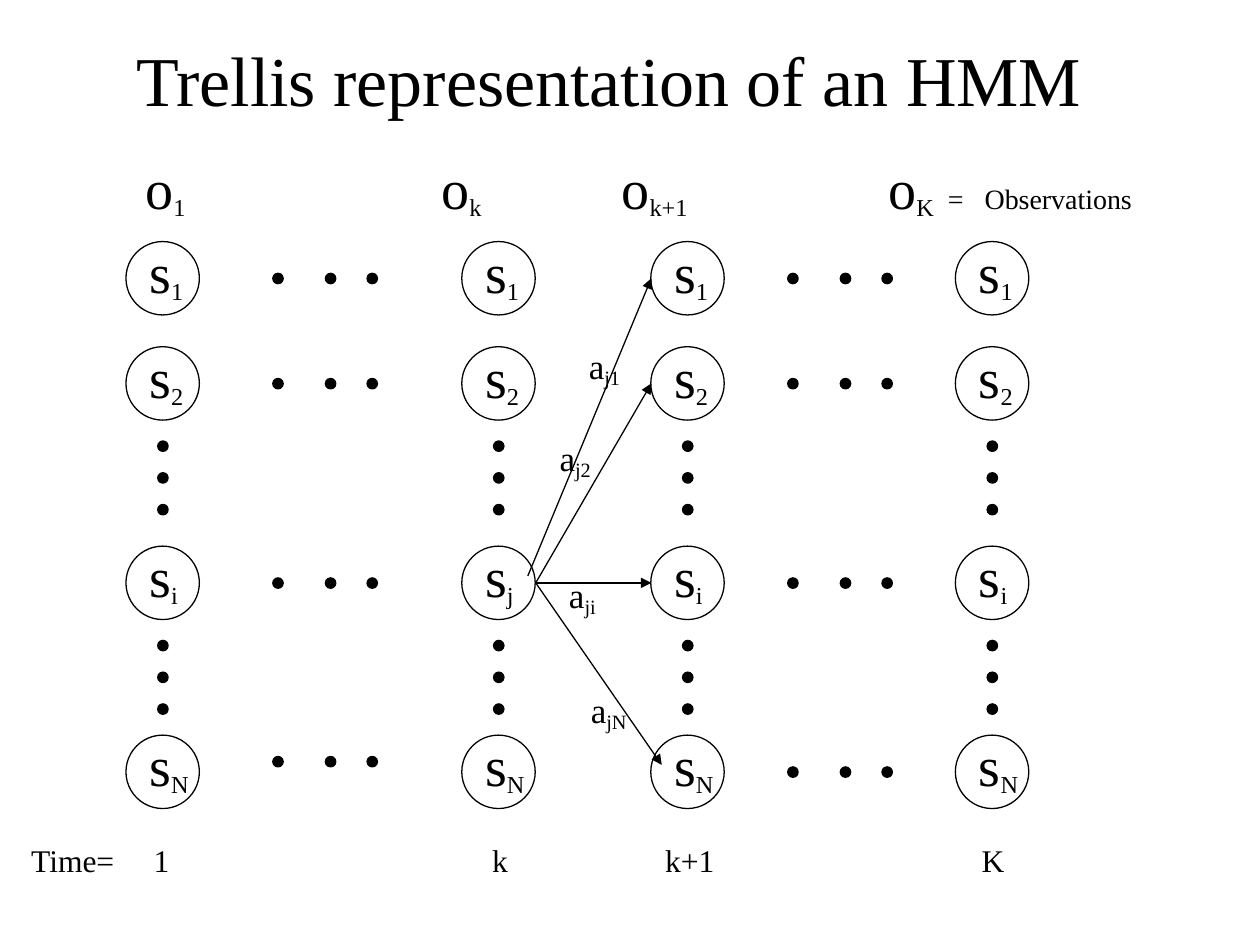
from pptx import Presentation
from pptx.dml.color import RGBColor
from pptx.enum.shapes import MSO_CONNECTOR, MSO_SHAPE
from pptx.enum.text import MSO_ANCHOR, MSO_AUTO_SIZE, PP_ALIGN
from pptx.oxml.ns import qn
from pptx.util import Cm, Pt
from lxml.etree import SubElement

COLORS = {"ink": "000000"}
INK = RGBColor.from_string(COLORS["ink"])
FONT = "Times New Roman"

deck = Presentation()
deck.slide_width, deck.slide_height = Cm(25.4), Cm(19.05)
slide = deck.slides.add_slide(deck.slide_layouts[6])
shapes = slide.shapes


def write(left, top, width, height, parts, tabs=(), wrap=False):
    """Add one line of text; parts are (text, size, is subscript)."""
    box = shapes.add_textbox(Cm(left), Cm(top), Cm(width), Cm(height))
    frame = box.text_frame
    frame.word_wrap = wrap
    frame.auto_size = MSO_AUTO_SIZE.SHAPE_TO_FIT_TEXT
    line = frame.paragraphs[0]
    if tabs:
        stops = SubElement(line._p.get_or_add_pPr(), qn("a:tabLst"))
        for stop in tabs:
            SubElement(stops, qn("a:tab"), pos=str(Cm(stop)), algn="l")
    for text, size, sub in parts:
        run = line.add_run()
        run.text = text
        run.font.name, run.font.size = FONT, Pt(size)
        run.font.color.rgb = INK
        if sub:
            run._r.get_or_add_rPr().set("baseline", "-16000")
    return frame


def circle(left, top, size, solid):
    disc = shapes.add_shape(MSO_SHAPE.OVAL, Cm(left), Cm(top), Cm(size), Cm(size))
    disc.shadow.inherit = False
    disc.line.color.rgb = INK
    disc.line.width = Pt(0.75)
    if solid:
        disc.fill.solid()
        disc.fill.fore_color.rgb = INK
    else:
        disc.fill.background()


# Trellis grid
STATE, DOT, INSET = 1.48, 0.21, 0.64
cols = [2.54, 9.31, 13.12, 19.26]
rows = [4.87, 6.99, 11.01, 14.82]
widths = {"1": 1.22, "2": 1.22, "i": 1.15, "j": 1.15, "N": 1.36}

# States and the dots between rows
for col, names in zip(cols, ["12iN", "12jN", "12iN", "12iN"]):
    for row, name in zip(rows, names):
        circle(col, row, STATE, False)
        write(col + 0.22, row - 0.21, widths[name], 1.63,
              [("s", 32, False), (name, 24, True)])
    for start in (8.89, 12.91):
        for step in range(3):
            circle(col + INSET, start + step * INSET, DOT, True)

# Dots between columns; the last row on the left sits a little higher
for start, lift in ((5.5, 0.21), (15.88, 0)):
    for row in rows:
        top = row + INSET - (lift if row == rows[-1] else 0)
        for gap in (0, 1.06, 1.9):
            circle(start + gap, top, DOT, True)

# Transitions out of state j
moves = [
    (10.64, 11.61, 13.13, 5.61),
    (10.8, 11.75, 13.13, 7.73),
    (10.8, 11.75, 13.13, 11.75),
    (10.8, 11.75, 13.34, 15.42),
]
for move in moves:
    arrow = shapes.add_connector(MSO_CONNECTOR.STRAIGHT, *[Cm(n) for n in move])
    arrow.line.color.rgb = INK
    arrow.line.width = Pt(0.75)
    SubElement(arrow.line._get_or_add_ln(), qn("a:tailEnd"), type="triangle")
    SubElement(arrow._element.spPr, qn("a:effectLst"))

for left, top, width, name in [(11.62, 6.83, 1.2, "j1"), (11.03, 8.68, 1.2, "j2"),
                               (11.22, 11.44, 1.12, "ji"), (11.66, 13.76, 1.32, "jN")]:
    write(left, top, width, 1.17, [("a", 20, False), (name, 20, True)])

# Time axis
write(0.38, 16.83, 20.17, 1.02, [("Time=\t1\tk\tk+1\tK", 18, False)],
      tabs=[2.47, 9.29, 12.78, 19.16])

# Observations
seen = []
for name in ["1", "k", "k+1", "K"]:
    seen += [("\t", 16, False), ("o", 32, False), (name, 24, True)]
seen.append(("\t=\tObservations", 16, False))
write(2.12, 2.97, 23.28, 1.63, seen, wrap=True,
      tabs=[0.56, 6.53, 10.16, 15.54, 16.74, 17.48])

# Title
title = write(1.48, 0, 21.59, 3.18,
              [("Trellis representation of an HMM", 40, False)], wrap=True)
title.auto_size = MSO_AUTO_SIZE.NONE
title.vertical_anchor = MSO_ANCHOR.MIDDLE
title.paragraphs[0].alignment = PP_ALIGN.CENTER

deck.save("out.pptx")
